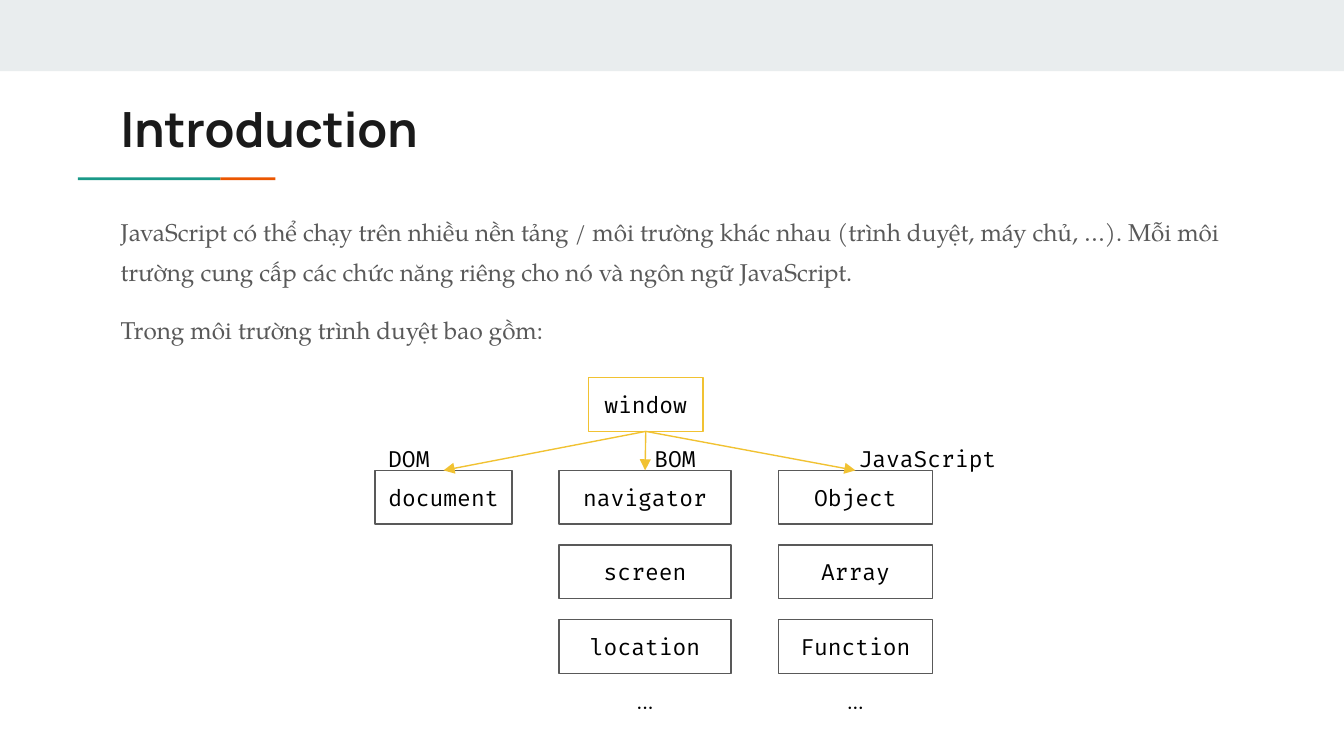
"""Builds a slide on the objects of a browser's JavaScript environment."""
from lxml import etree
from pptx import Presentation
from pptx import util as u
from pptx.dml.color import RGBColor
from pptx.enum import shapes, text
from pptx.oxml import ns

BLACK = RGBColor(0x00, 0x00, 0x00)
INK = RGBColor(0x1A, 0x1A, 0x1A)
GREY = RGBColor(0x59, 0x59, 0x59)
PALE = RGBColor(0xE9, 0xED, 0xEE)
TEAL = RGBColor(0x1A, 0x99, 0x88)
ORANGE = RGBColor(0xEB, 0x56, 0x00)
GOLD = RGBColor(0xF1, 0xC2, 0x32)
CODE, SERIF = "Fira Code", "TeX Gyre Pagella"
LEFT, MID = text.PP_ALIGN.LEFT, text.PP_ALIGN.CENTER
TOP, HALF = text.MSO_ANCHOR.TOP, text.MSO_ANCHOR.MIDDLE
HIGH = 0.4
STEP = (4.61 - 3.5) / 2

deck = Presentation()
deck.slide_width = u.Inches(10)
deck.slide_height = deck.slide_width * 9 // 16
slide = deck.slides.add_slide(deck.slide_layouts[6])


def rect(x, y, w, h, fill=None, line=None):
    box = slide.shapes.add_shape(
        shapes.MSO_SHAPE.RECTANGLE, u.Inches(x), u.Inches(y), u.Inches(w), u.Inches(h))
    box.shadow.inherit = False
    if fill is None:
        box.fill.background()
    else:
        box.fill.solid()
        box.fill.fore_color.rgb = fill
    if line is None:
        box.line.fill.background()
    else:
        box.line.color.rgb = line
        box.line.width = u.Pt(0.75)
    return box


def write(words, at=None, box=None, font=CODE, size=12, color=BLACK, bold=False,
          align=LEFT, anchor=HALF, lead=None, before=None):
    box = box or slide.shapes.add_textbox(*map(u.Inches, at))
    frame = box.text_frame
    frame.word_wrap = True
    frame.vertical_anchor = anchor
    frame.margin_left = frame.margin_right = u.Inches(0.1)
    frame.margin_top = frame.margin_bottom = u.Inches(0.1)
    frame.text = words
    for para in frame.paragraphs:
        para.alignment = align
        para.line_spacing = lead
        para.space_before = before
        style = para.runs[0].font
        style.name, style.size, style.bold = font, u.Pt(size), bold
        style.color.rgb = color


rect(0, 0, 10, 0.53, fill=PALE)
rect(0.58, 1.32, 1.06, 0.02, fill=TEAL)
rect(1.64, 1.32, 0.41, 0.02, fill=ORANGE)

write("JavaScript có thể chạy trên nhiều nền tảng / môi trường khác nhau "
      "(trình duyệt, máy chủ, …). Mỗi môi trường cung cấp các chức năng riêng "
      "cho nó và ngôn ngữ JavaScript.\n"
      "Trong môi trường trình duyệt bao gồm:",
      at=(0.8, 1.44, 8.41, 3.92), font=SERIF, size=13, color=GREY,
      anchor=TOP, lead=1.36, before=u.Pt(10))
write("Introduction", at=(0.8, 0.64, 8.41, 0.59), font="Manrope", size=26,
      color=INK, bold=True, anchor=TOP)

root = rect(4.38, 2.81, 0.85, HIGH, line=GOLD)
write("window", box=root, align=MID)

cols = [
    (2.79, 1.02, ["document"]),
    (4.16, 1.28, ["navigator", "screen", "location"]),
    (5.79, 1.15, ["Object", "Array", "Function"]),
]
for x, w, names in cols:
    for row, name in enumerate(names):
        box = rect(x, 3.5 + STEP * row, w, HIGH, line=GREY)
        write(name, box=box, align=MID)
        if row == 0:
            link = slide.shapes.add_connector(shapes.MSO_CONNECTOR.STRAIGHT, 0, 0, 0, 0)
            link.begin_connect(root, 2)
            link.end_connect(box, 0)
            link.line.color.rgb = GOLD
            link.line.width = u.Pt(0.75)
            props = link.element.spPr
            etree.SubElement(props.find(ns.qn("a:ln")), ns.qn("a:tailEnd"), type="triangle")
            etree.SubElement(props, ns.qn("a:effectLst"))
    if len(names) > 1:
        write("...", at=(x, 5.01, w, HIGH), font=SERIF, align=MID)

for x, w, label in [(2.79, 1.02, "DOM"), (4.77, 1.02, "BOM"), (6.29, 1.28, "JavaScript")]:
    write(label, at=(x, 3.21, w, HIGH))

deck.save("out.pptx")
